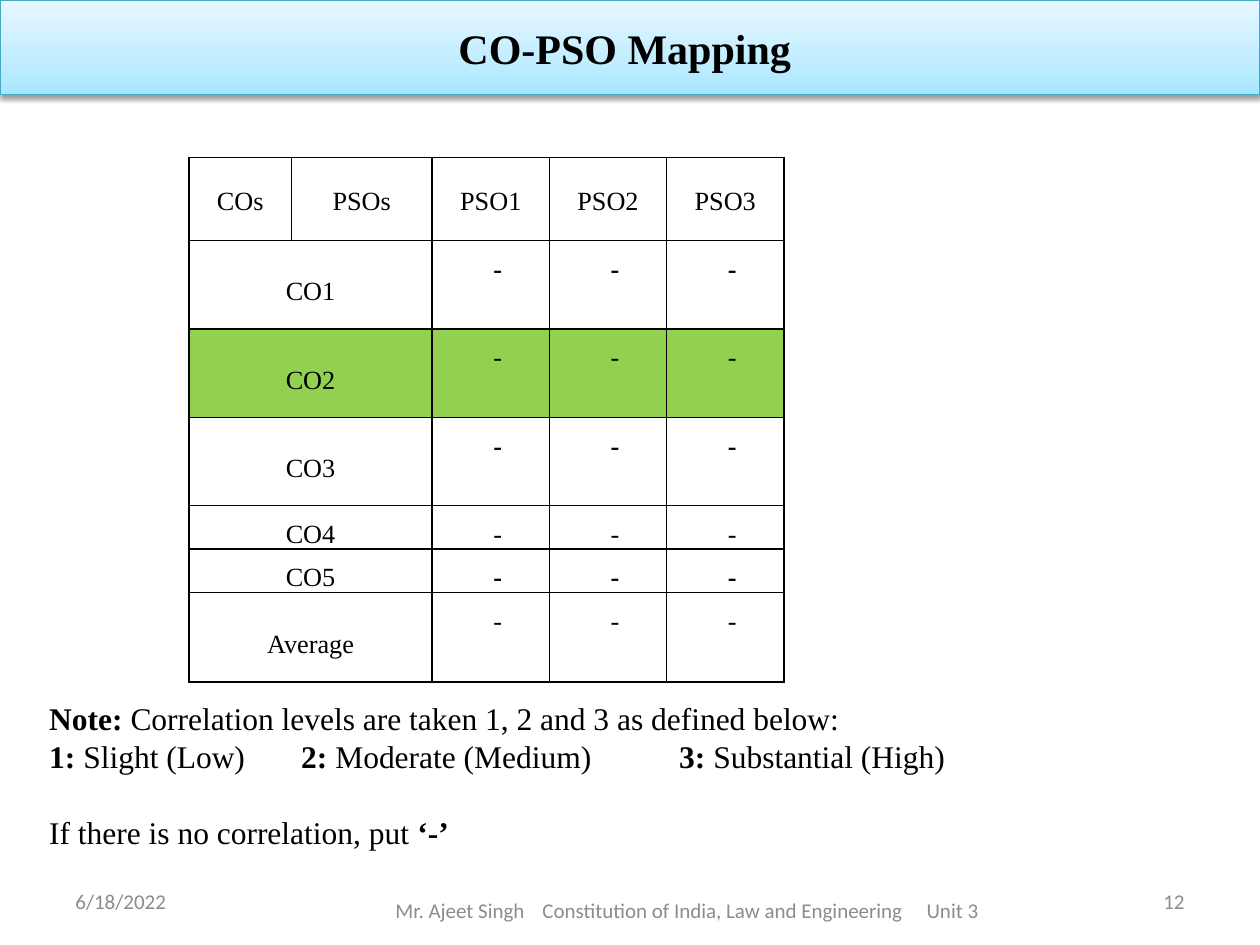
from dataclasses import dataclass

from lxml.etree import SubElement
from pptx import Presentation
from pptx.dml.color import RGBColor
from pptx.enum.text import MSO_ANCHOR as Anchor, PP_ALIGN as Align
from pptx.oxml import parse_xml
from pptx.oxml.ns import nsdecls, qn
from pptx.util import Pt

COLORS = {
    "text": "000000", "footer": "8C8C8C", "border": "000000",
    "white": "FFFFFF", "highlight": "92D050", "title_line": "46AAC5",
    "title_bottom": "A7E6FF", "title_middle": "C1EDFF", "title_top": "E7F8FF",
}
SERIF, SANS = "Times New Roman", "Calibri"


@dataclass
class Box:
    left: float
    top: float
    width: float
    height: float

    def lengths(self):
        return [Pt(value) for value in (self.left, self.top, self.width, self.height)]


@dataclass
class MappingRow:
    label: str
    height: float
    fill: str = ""
    bold_marks: bool = False


@dataclass
class FooterItem:
    text: str
    box: Box
    align: Align
    margin_left: float = 7.2
    tabs: tuple = ()


COLUMN_WIDTHS = (58.5, 80.5, 67, 67, 67)
HEADERS = ("COs", "PSOs", "PSO1", "PSO2", "PSO3")
HEADER_HEIGHT = 47.5
ROWS = (
    MappingRow("CO1", 50.5, "white", True),
    MappingRow("CO2", 50.5, "highlight"),
    MappingRow("CO3", 50.5, bold_marks=True),
    MappingRow("CO4", 24),
    MappingRow("CO5", 24, bold_marks=True),
    MappingRow("Average", 51),
)
FOOTERS = (
    FooterItem("6/18/2022", Box(36, 500.5, 168, 28.5), Align.LEFT),
    FooterItem("Mr. Ajeet Singh\tConstitution of India, Law and Engineering\tUnit 3",
               Box(174, 500.5, 438, 39.5), Align.LEFT, 52, (84, 303.5)),
    FooterItem("12", Box(516, 500.5, 168, 28.5), Align.RIGHT),
)


def write(paragraph, text, *, size, font=SERIF, color="text", align=Align.LEFT,
          line_spacing=None, space_before=None, indent=0, tabs=(), bold=False):
    """Add text to a paragraph; parts between ** marks get the opposite weight."""
    properties = paragraph._p.get_or_add_pPr()
    if indent:
        properties.set("marL", str(Pt(indent)))
    if tabs:
        tab_list = SubElement(properties, qn("a:tabLst"))
        for position in tabs:
            SubElement(tab_list, qn("a:tab"), pos=str(Pt(position)), algn="l")
    paragraph.alignment = align
    if line_spacing:
        paragraph.line_spacing = line_spacing
    if space_before:
        paragraph.space_before = Pt(space_before)
    for index, part in enumerate(text.split("**")):
        if part:
            run = paragraph.add_run()
            run.text = part
            run.font.size, run.font.name = Pt(size), font
            run.font.bold = bold != bool(index % 2)
            run.font.color.rgb = RGBColor.from_string(COLORS[color])


def draw_title(slide):
    title = slide.shapes.title
    title.left, title.top, title.width, title.height = Box(0, 0, 720, 54).lengths()
    title.text_frame.vertical_anchor = Anchor.MIDDLE
    write(title.text_frame.paragraphs[0], "CO-PSO Mapping ",
          size=24, align=Align.CENTER, bold=True)
    stops = "".join(
        f'<a:gs pos="{position}"><a:srgbClr val="{COLORS[name]}"/></a:gs>'
        for position, name in ((0, "title_bottom"), (35000, "title_middle"),
                               (100000, "title_top")))
    properties = title._element.spPr
    properties.append(parse_xml(
        f'<a:gradFill {nsdecls("a")} rotWithShape="1"><a:gsLst>{stops}</a:gsLst>'
        '<a:lin ang="16200000" scaled="1"/></a:gradFill>'))
    title.line.color.rgb = RGBColor.from_string(COLORS["title_line"])
    title.line.width = Pt(0.75)
    properties.append(parse_xml(
        f'<a:effectLst {nsdecls("a")}><a:outerShdw blurRad="{Pt(3.1)}" '
        f'dist="{Pt(1.6)}" dir="5400000" rotWithShape="0"><a:srgbClr val="000000">'
        '<a:alpha val="38000"/></a:srgbClr></a:outerShdw></a:effectLst>'))


def format_cell(cell, fill: str, anchor=Anchor.MIDDLE):
    cell.margin_left = cell.margin_right = Pt(5)
    cell.margin_top = cell.margin_bottom = 0
    cell.vertical_anchor = anchor
    properties = cell._tc.get_or_add_tcPr()
    for side in ("lnL", "lnR", "lnT", "lnB"):
        properties.append(parse_xml(
            f'<a:{side} {nsdecls("a")} w="{Pt(1)}"><a:solidFill>'
            f'<a:srgbClr val="{COLORS["border"]}"/></a:solidFill></a:{side}>'))
    if fill:
        cell.fill.solid()
        cell.fill.fore_color.rgb = RGBColor.from_string(COLORS[fill])
    else:
        cell.fill.background()


def draw_mapping_table(slide):
    heights = [HEADER_HEIGHT] + [row.height for row in ROWS]
    box = Box(108, 90, sum(COLUMN_WIDTHS), sum(heights))
    table = slide.shapes.add_table(len(heights), len(HEADERS), *box.lengths()).table
    table.first_row = table.horz_banding = False
    for column, width in zip(table.columns, COLUMN_WIDTHS):
        column.width = Pt(width)
    for table_row, height in zip(table.rows, heights):
        table_row.height = Pt(height)

    for index, header in enumerate(HEADERS):
        cell = table.cell(0, index)
        format_cell(cell, "")
        write(cell.text_frame.paragraphs[0], header, size=15,
              align=Align.CENTER, line_spacing=1.15)
    for row_index, row in enumerate(ROWS, start=1):
        label = table.cell(row_index, 0)
        label.merge(table.cell(row_index, 1))
        for index in range(len(HEADERS)):
            format_cell(table.cell(row_index, index), row.fill,
                        Anchor.MIDDLE if index < 2 else Anchor.TOP)
        write(label.text_frame.paragraphs[0], row.label, size=15,
              align=Align.CENTER, line_spacing=1.5)
        for index in range(2, len(HEADERS)):
            write(table.cell(row_index, index).text_frame.paragraphs[0], "-", size=15,
                  align=Align.CENTER, line_spacing=1.5, indent=8, bold=row.bold_marks)


def add_text_frame(slide, box: Box):
    frame = slide.shapes.add_textbox(*box.lengths()).text_frame
    frame.word_wrap = True
    frame.vertical_anchor = Anchor.MIDDLE
    return frame


def draw_note(slide):
    frame = add_text_frame(slide, Box(21, 395.5, 690.5, 94.5))
    style = {"size": 18, "align": Align.JUSTIFY}
    write(frame.paragraphs[0],
          "**Note: **Correlation levels are taken 1, 2 and 3 as defined below:", **style)
    write(frame.add_paragraph(),
          "**1: **Slight (Low)**\t2: **Moderate (Medium)**\t3: **Substantial (High)",
          tabs=(144, 360), **style)
    write(frame.add_paragraph(), "If there is no correlation, put** ‘-’**",
          space_before=21.6, **style)


def draw_footer(slide, item: FooterItem):
    frame = add_text_frame(slide, item.box)
    frame.margin_left = Pt(item.margin_left)
    write(frame.paragraphs[0], item.text, size=12, font=SANS, color="footer",
          align=item.align, tabs=item.tabs)


def main():
    presentation = Presentation()
    presentation.slide_width, presentation.slide_height = Pt(720), Pt(540)
    slide = presentation.slides.add_slide(presentation.slide_layouts[5])
    draw_title(slide)
    draw_mapping_table(slide)
    draw_note(slide)
    for item in FOOTERS:
        draw_footer(slide, item)
    presentation.save("out.pptx")


if __name__ == "__main__":
    main()
